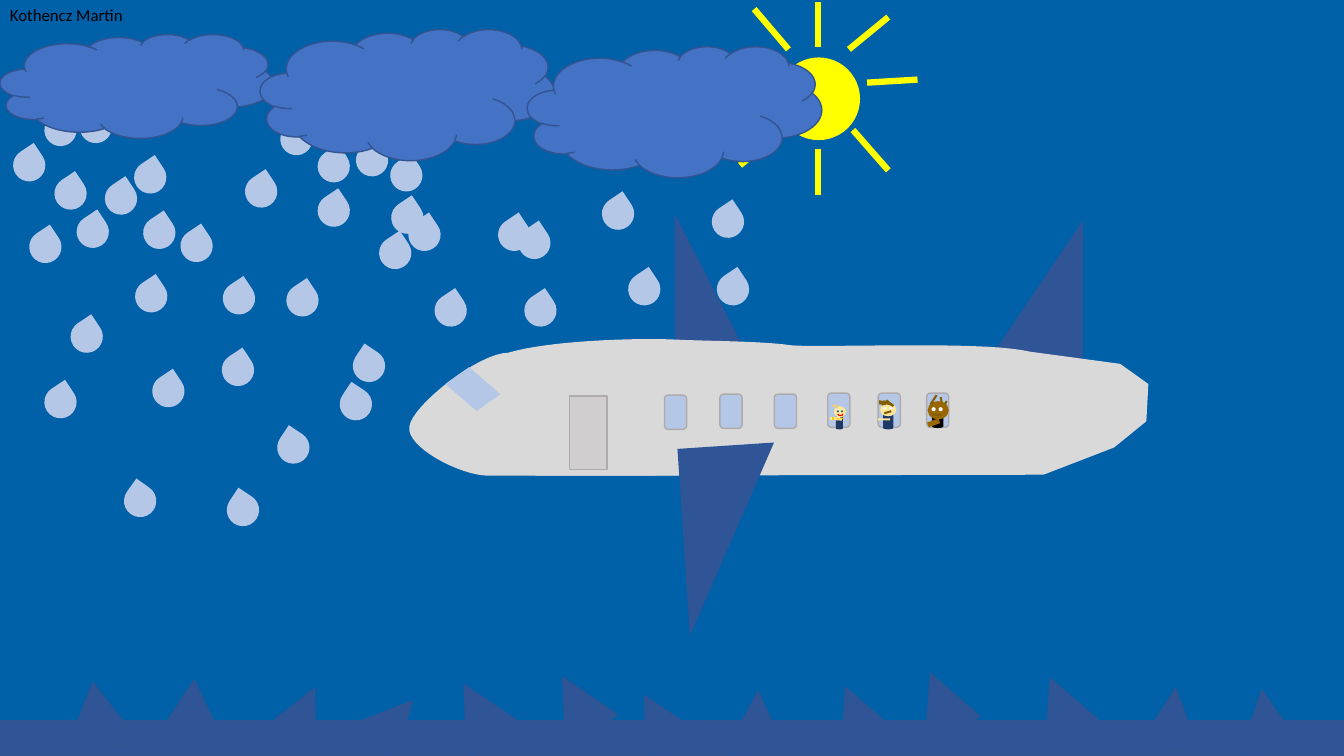
from dataclasses import dataclass

from lxml import etree
from pptx import Presentation
from pptx.dml.color import RGBColor
from pptx.enum.shapes import MSO_CONNECTOR, MSO_SHAPE
from pptx.oxml.ns import qn
from pptx.util import Inches, Pt

STRAIGHT = MSO_CONNECTOR.STRAIGHT
ARC, CAN, CLOUD = MSO_SHAPE.ARC, MSO_SHAPE.CAN, MSO_SHAPE.CLOUD
ELLIPSE, RECTANGLE, ROUNDED = MSO_SHAPE.OVAL, MSO_SHAPE.RECTANGLE, MSO_SHAPE.ROUNDED_RECTANGLE
STAR, TEARDROP, WAVE = MSO_SHAPE.STAR_4_POINT, MSO_SHAPE.TEAR, MSO_SHAPE.FLOWCHART_MERGE
TRIANGLE, SLANTED = MSO_SHAPE.RIGHT_TRIANGLE, MSO_SHAPE.PARALLELOGRAM


@dataclass(frozen=True)
class Theme:
    font: str = "Calibri"
    author_size: int = 12
    sky: str = "0060A8"
    deep_blue: str = "2F5597"
    outline: str = "325491"
    cloud: str = "4472C4"
    glass: str = "B4C7E7"
    hull: str = "D9D9D9"
    door: str = "D0CECE"
    frame: str = "AFABAB"
    sun: str = "FFFF00"
    skin: str = "FFE699"
    suit: str = "203864"
    brown_hair: str = "806000"
    brown_skin: str = "996600"
    fair_hair: str = "FFCC66"
    gold: str = "FFCC00"
    amber: str = "FFC000"
    lips: str = "FF0000"
    white: str = "FFFFFF"
    black: str = "000000"


theme = Theme()
UNIT = Inches(0.01)  # the slide is a grid of 1333 columns and 750 rows
COLUMNS, ROWS = 1333, 750


def place(shapes, kind, box, fill=None, line=None, width=1, rotation=0, flip=""):
    """Add a preset shape; box is column, row, columns wide, rows high."""
    shape = shapes.add_shape(kind, *(round(value * UNIT) for value in box))
    shape.shadow.inherit = False
    shape.rotation = rotation
    if flip:
        shape._element.spPr.xfrm.set("flip" + flip, "1")
    if fill:
        shape.fill.solid()
        shape.fill.fore_color.rgb = RGBColor.from_string(fill)
    else:
        shape.fill.background()
    if line:
        shape.line.color.rgb = RGBColor.from_string(line)
        shape.line.width = Pt(width)
    else:
        shape.line.fill.background()


def add_strokes(shapes, strokes, color, width):
    """Draw straight lines given as start column, row, end column, row."""
    for stroke in strokes:
        connector = shapes.add_connector(STRAIGHT, *(value * UNIT for value in stroke))
        connector.line.color.rgb = RGBColor.from_string(color)
        connector.line.width = Pt(width)
        etree.SubElement(connector._element.spPr, qn("a:effectLst"))


presentation = Presentation()
presentation.slide_width = COLUMNS * UNIT
presentation.slide_height = ROWS * UNIT
slide = presentation.slides.add_slide(presentation.slide_layouts[6])
slide.background.fill.solid()
slide.background.fill.fore_color.rgb = RGBColor.from_string(theme.sky)

# Author
author = slide.shapes.add_textbox(0, 0, 225 * UNIT, 30 * UNIT)
author.text_frame.word_wrap = True
author.text_frame.text = "Kothencz Martin"
font = author.text_frame.paragraphs[0].runs[0].font
font.name, font.size = theme.font, Pt(theme.author_size)
font.color.rgb = RGBColor.from_string(theme.black)

# Rain: rotation, flip and the drops that fall that way
rain = [
    (326.3, "", [
        (13, 148), (79, 110), (134, 278), (44, 113), (104, 181), (44, 383), (29, 229),
        (70, 318), (76, 214), (220, 351), (54, 176), (133, 160), (142, 215), (278, 122),
        (353, 143), (315, 149), (315, 193), (243, 174), (387, 158), (388, 200), (376, 235),
        (179, 228), (284, 282), (221, 280), (151, 372), (405, 217), (597, 196), (514, 225),
        (706, 204), (431, 292), (623, 271), (494, 217), (520, 292), (711, 271)]),
    (305.6, "", [(123, 481)]),
    (33.7, "H", [(225, 490), (350, 347), (337, 385), (275, 428)]),
]
for rotation, flip, drops in rain:
    for column, row in drops:
        place(slide.shapes, TEARDROP, (column, row, 32, 32), theme.glass,
              rotation=rotation, flip=flip)

# Sun
sun = slide.shapes.add_group_shape().shapes
place(sun, ELLIPSE, (771, 57, 82, 82), theme.sun)
add_strokes(sun, [
    (782, 49, 748, 9), (811, 47, 811, 2), (842, 49, 881, 17), (860, 82, 910, 79),
    (811, 193, 811, 148), (881, 169, 846, 129), (734, 164, 773, 132)], theme.sun, 4.5)

# Sea
place(slide.shapes, RECTANGLE, (0, ROWS - 35, COLUMNS, 35), theme.deep_blue, theme.outline)

# Plane: tail and far wing, then hull and nose, then the near side
plane = slide.shapes.add_group_shape().shapes
place(plane, TRIANGLE, (978, 219, 96, 142), theme.deep_blue, flip="H")
place(plane, TRIANGLE, (669, 212, 96, 186), theme.deep_blue)

# Two numbers make a straight segment, six a Bézier curve
hull = [(531, 361), (788, 343), (866, 344, 979, 339, 1022, 349), (1111, 361), (1139, 381),
        (1137, 418), (1105, 444), (1035, 471), (531, 472)]
nose = [(504, 350), (544, 338, 630, 335, 671, 337), (712, 339, 796, 338, 805, 349),
        (776, 349, 706, 397, 697, 417), (688, 438, 721, 472, 750, 472), (485, 472),
        (456, 472, 402, 443, 406, 423), (409, 402, 475, 350, 504, 350)]
CURVE_STEPS = 16
for outline in (hull, nose):
    points = [outline[0]]
    for segment in outline[1:]:
        if len(segment) == 2:
            points.append(segment)
            continue
        controls = [points[-1], segment[:2], segment[2:4], segment[4:]]
        for step in range(1, CURVE_STEPS + 1):
            t = step / CURVE_STEPS
            weights = ((1 - t) ** 3, 3 * t * (1 - t) ** 2, 3 * t * t * (1 - t), t ** 3)
            points.append([sum(weight * control[axis] for weight, control in zip(weights, controls))
                           for axis in (0, 1)])
    points = [(x * UNIT, y * UNIT) for x, y in points]
    builder = plane.build_freeform(*points[0])
    builder.add_line_segments(points[1:], close=True)
    body = builder.convert_to_shape()
    body.shadow.inherit = False
    body.fill.solid()
    body.fill.fore_color.rgb = RGBColor.from_string(theme.hull)
    body.line.fill.background()

place(plane, TRIANGLE, (678, 442, 96, 186), theme.deep_blue, rotation=356.2, flip="V")
place(plane, SLANTED, (445, 372, 48, 28), theme.glass, rotation=40.7)
place(plane, RECTANGLE, (565, 393, 37, 73), theme.door, theme.frame)
for column, row in [(659, 392), (714, 391), (768, 391), (821, 390), (871, 390), (919, 390)]:
    place(plane, ROUNDED, (column, row, 22, 34), theme.glass, theme.frame)

# Passengers: body, head, arm, eyes
passenger_parts = [
    (CAN, (876, 410, 10, 16), theme.suit, 0),
    (ELLIPSE, (873, 400, 16, 13), theme.skin, 0),
    (RECTANGLE, (871, 415, 12, 2), theme.skin, 0),
    (ELLIPSE, (876, 404, 3, 2), theme.white, 0),
    (ELLIPSE, (882, 404, 3, 2), theme.white, 0),
    (CAN, (925, 413, 10, 11), theme.black, 0),
    (ELLIPSE, (920, 398, 21, 18), theme.brown_skin, 0),
    (ELLIPSE, (924, 404, 4, 4), theme.white, 0),
    (ELLIPSE, (931, 404, 4, 4), theme.white, 0),
    (RECTANGLE, (920, 417, 12, 5), theme.brown_skin, 341),
    (CAN, (829, 412, 7, 14), theme.suit, 0),
    (ELLIPSE, (827, 403, 12, 11), theme.skin, 0),
    (RECTANGLE, (823, 414, 12, 3), theme.skin, 3.2),
    (STAR, (835, 406, 4, 3), theme.sun, 0),
    (ELLIPSE, (829, 413, 4, 2), theme.skin, 3.1),
    (ELLIPSE, (830, 406, 2, 2), theme.white, 0),
    (ELLIPSE, (830, 407, 2, 2), theme.deep_blue, 0),
    (ELLIPSE, (834, 406, 2, 2), theme.white, 0),
    (ELLIPSE, (834, 407, 2, 2), theme.deep_blue, 0),
]
for kind, box, fill, rotation in passenger_parts:
    edge = theme.black if fill == theme.black else None
    place(plane, kind, box, fill, edge, rotation=rotation)
place(plane, ARC, (828, 406, 10, 10), line=theme.amber, width=0.5, rotation=130.1)
add_strokes(plane, [
    (876, 398, 884, 401), (879, 401, 872, 400), (872, 398, 886, 402), (884, 408, 877, 410),
    (876, 402, 874, 398), (879, 397, 886, 403), (933, 394, 934, 399), (923, 401, 929, 392),
    (939, 398, 937, 401), (933, 412, 924, 411)], theme.brown_hair, 1.5)
add_strokes(plane, [(831, 404, 826, 402)], theme.fair_hair, 1.5)
add_strokes(plane, [(826, 417, 826, 414)], theme.gold, 1.5)
add_strokes(plane, [(831, 411, 832, 412), (832, 412, 835, 412), (835, 412, 836, 411)],
            theme.lips, 1)

# Clouds
for box in [(0, 34, 272, 103), (258, 29, 292, 130), (523, 46, 292, 130)]:
    place(slide.shapes, CLOUD, box, theme.cloud, theme.outline)

# Waves: column, row, height, rotation
waves = slide.shapes.add_group_shape().shapes
for column, row, height, rotation in [
        (69, 693, 64, 290.9), (159, 693, 64, 303.2), (258, 702, 52, 321.8),
        (343, 708, 52, 338.4), (449, 691, 52, 267.3), (547, 684, 52, 267.3),
        (628, 702, 52, 267.3), (717, 707, 52, 298.9), (823, 697, 52, 274.1),
        (907, 683, 52, 274.1), (1026, 688, 52, 274.1), (1128, 704, 52, 302.4),
        (1225, 704, 52, 288.2)]:
    place(waves, WAVE, (column, row, 78, height), theme.deep_blue, theme.outline,
          rotation=rotation)

presentation.save("out.pptx")
